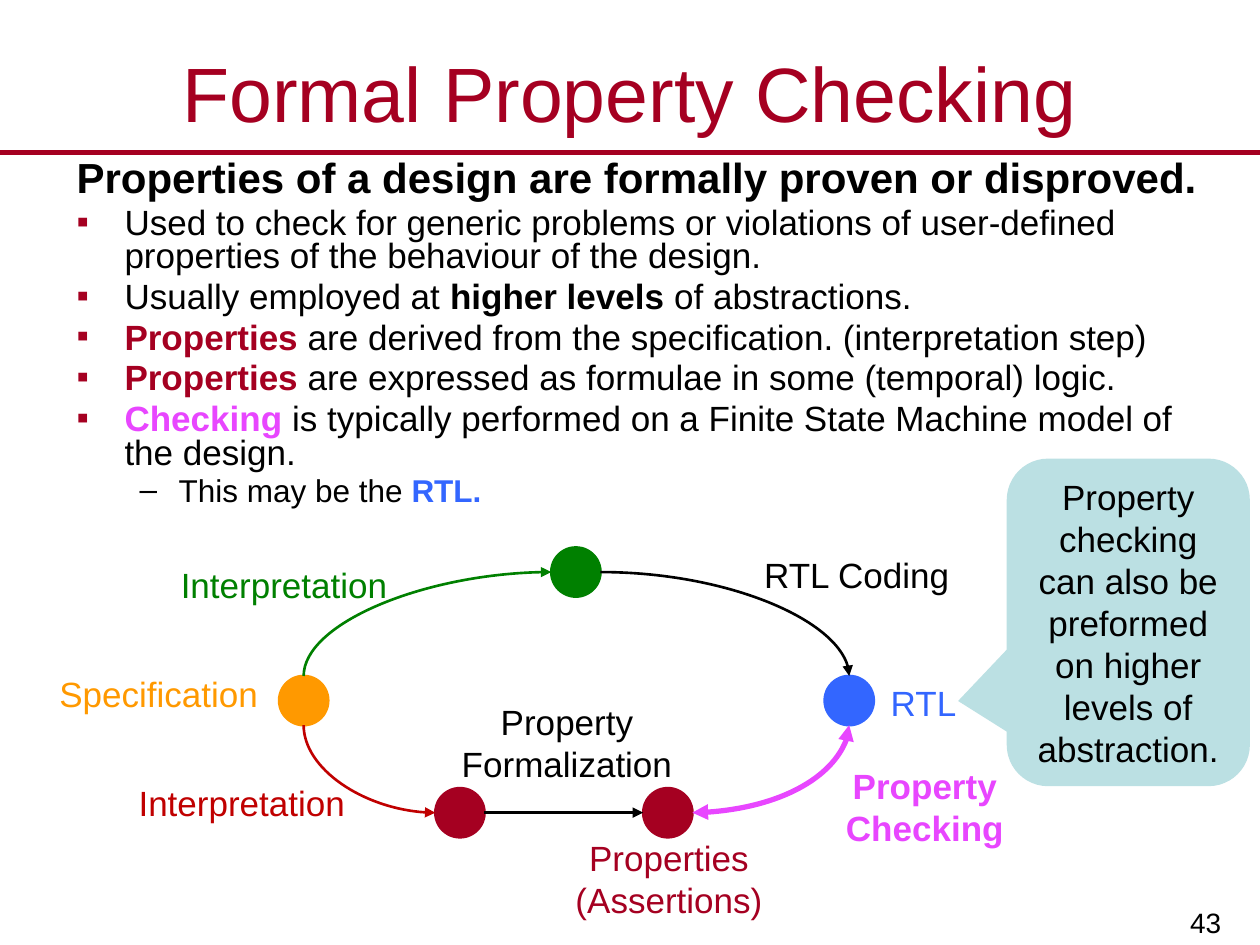
from lxml.etree import SubElement
from pptx import Presentation
from pptx.dml.color import RGBColor
from pptx.enum.shapes import MSO_CONNECTOR as LINK, MSO_SHAPE as SHAPE
from pptx.enum.text import MSO_ANCHOR as ANCHOR, MSO_AUTO_SIZE as FIT, PP_ALIGN as ALIGN
from pptx.oxml.ns import qn
from pptx.util import Inches, Pt

BLACK, CRIMSON, RED, GREEN = "000000", "A50021", "C00000", "008000"
ORANGE, BLUE, MAGENTA, PALE = "FF9900", "3366FF", "E846FF", "BBE0E3"

TITLE = "Formal Property Checking"
HEADLINE = "Properties of a design are formally proven or disproved."
POINTS = [
    [("Used to check for generic problems or violations of user-defined "
      "properties of the behaviour of the design.", BLACK, False)],
    [("Usually employed at ", BLACK, False), ("higher levels ", BLACK, True),
     ("of abstractions.", BLACK, False)],
    [("Properties ", CRIMSON, True),
     ("are derived from the specification. (interpretation step)", BLACK, False)],
    [("Properties ", CRIMSON, True),
     ("are expressed as formulae in some (temporal) logic.", BLACK, False)],
    [("Checking ", MAGENTA, True),
     ("is typically performed on a Finite State Machine model of the design.", BLACK, False)],
]
SUBPOINT = [("This may be the ", BLACK, False), ("RTL.", BLUE, True)]
CALLOUT = "Property checking can also be preformed on higher levels of abstraction."

DIAMETER = 0.39
NODES = {
    "specification": (2.41, 5.56, ORANGE),
    "model": (4.57, 4.54, GREEN),
    "rtl": (6.74, 5.56, BLUE),
    "formula": (3.65, 6.45, CRIMSON),
    "assertion": (5.3, 6.45, CRIMSON),
}
FLOWS = [
    ("specification", "top", "model", "left", GREEN, 1.5, False),
    ("model", "right", "rtl", "top", BLACK, 1.5, False),
    ("specification", "bottom", "formula", "left", RED, 1.5, False),
    ("formula", "right", "assertion", "left", BLACK, 1.5, False),
    ("assertion", "right", "rtl", "bottom", MAGENTA, 3, True),
]
SIDES = {"top": (0, -1), "left": (-1, 0), "bottom": (0, 1), "right": (1, 0)}
LABELS = [
    ("RTL", 6.93, 5.36, 0.8, 0.44, BLUE, False),
    ("Specification", 0.24, 5.29, 2.04, 0.44, ORANGE, False),
    ("Interpretation", 0.72, 6.15, 2.4, 0.44, RED, False),
    ("Properties (Assertions)", 4.38, 6.59, 1.86, 0.77, CRIMSON, False),
    ("RTL Coding", 5.83, 4.34, 1.94, 0.44, BLACK, False),
    ("Interpretation", 1.19, 4.42, 2.13, 0.44, GREEN, False),
    ("Property Formalization", 3.53, 5.51, 1.94, 0.77, BLACK, False),
    ("Property Checking", 6.38, 6.02, 1.92, 0.77, MAGENTA, True),
]


def rgb(value):
    return RGBColor.from_string(value)


def write(paragraph, text, size=20, color=BLACK, bold=False, align=None):
    if align is not None:
        paragraph.alignment = align
    run = paragraph.add_run()
    run.text = text
    run.font.name = "Arial"
    run.font.size = Pt(size)
    run.font.bold = bold
    run.font.color.rgb = rgb(color)


def add_box(left, top, width, height, anchor=ANCHOR.TOP):
    box = slide.shapes.add_textbox(Inches(left), Inches(top), Inches(width), Inches(height))
    box.text_frame.word_wrap = True
    box.text_frame.vertical_anchor = anchor
    return box.text_frame


def add_item(frame, runs, size, margin, hang, bullet, bullet_color):
    paragraph = frame.add_paragraph()
    paragraph.line_spacing = 0.8
    paragraph.space_before = Pt(size * 0.2)
    props = paragraph._p.get_or_add_pPr()
    props.set("marL", str(Inches(margin)))
    props.set("indent", str(-Inches(hang)))
    tint = SubElement(props, qn("a:buClr"))
    SubElement(tint, qn("a:srgbClr"), val=bullet_color)
    SubElement(props, qn("a:buFont"), typeface="Arial")
    SubElement(props, qn("a:buChar"), char=bullet)
    for text, color, bold in runs:
        write(paragraph, text, size=size, color=color, bold=bold)


def add_shape(kind, left, top, width, height, color):
    shape = slide.shapes.add_shape(kind, Inches(left), Inches(top), Inches(width), Inches(height))
    shape.shadow.inherit = False
    shape.fill.solid()
    shape.fill.fore_color.rgb = rgb(color)
    return shape


def add_link(kind, x1, y1, x2, y2, color, weight, ends=()):
    link = slide.shapes.add_connector(kind, Inches(x1), Inches(y1), Inches(x2), Inches(y2))
    link.line.color.rgb = rgb(color)
    link.line.width = Pt(weight)
    for end in ends:
        SubElement(link.line._get_or_add_ln(), qn(f"a:{end}"), type="triangle")
    SubElement(link._element.spPr, qn("a:effectLst"))
    return link


def edge(node, side):
    x, y, _ = NODES[node]
    dx, dy = SIDES[side]
    return x + dx * DIAMETER / 2, y + dy * DIAMETER / 2


def add_flow(source, exit_side, target, entry_side, color, weight, two_way):
    (x1, y1), (x2, y2) = edge(source, exit_side), edge(target, entry_side)
    upright = exit_side in ("top", "bottom")
    if upright:
        mid_x, mid_y = (x1 + x2) / 2, (y1 + y2) / 2
        x1, y1, x2, y2 = (mid_x + mid_y - y1, mid_y + x1 - mid_x,
                          mid_x + mid_y - y2, mid_y + x2 - mid_x)
    ends = ("headEnd", "tailEnd") if two_way else ("tailEnd",)
    link = add_link(LINK.CURVE, x1, y1, x2, y2, color, weight, ends)
    props = link._element.spPr
    if upright:
        props.find(qn("a:xfrm")).set("rot", str(270 * 60000))
    if upright or entry_side in ("top", "bottom"):
        props.find(qn("a:prstGeom")).set("prst", "curvedConnector2")


deck = Presentation()
deck.slide_width, deck.slide_height = Inches(10), Inches(7.5)
slide = deck.slides.add_slide(deck.slide_layouts[6])

add_link(LINK.STRAIGHT, 0, 1.21, 10, 1.21, CRIMSON, 3)
number = add_box(7.8, 6.93, 1.99, 0.57, ANCHOR.BOTTOM)
write(number.paragraphs[0], "43", size=16, align=ALIGN.RIGHT)
title = add_box(0, 0.3, 10, 0.86, ANCHOR.MIDDLE)
write(title.paragraphs[0], TITLE, size=44, color=CRIMSON, align=ALIGN.CENTER)

body = add_box(0.51, 1.23, 9.22, 3)
body.paragraphs[0].line_spacing = 0.8
write(body.paragraphs[0], HEADLINE, size=24, bold=True)
for point in POINTS:
    add_item(body, point, 20, 0.38, 0.38, "▪", CRIMSON)
add_item(body, SUBPOINT, 18, 0.81, 0.31, "–", BLACK)
body.paragraphs[-1].level = 1

for x, y, color in NODES.values():
    node = add_shape(SHAPE.OVAL, x - DIAMETER / 2, y - DIAMETER / 2, DIAMETER, DIAMETER, color)
    node.line.color.rgb = rgb(color)
    node.line.width = Pt(1.5)
for flow in FLOWS:
    add_flow(*flow)
for text, left, top, width, height, color, bold in LABELS:
    label = add_box(left, top, width, height)
    label.auto_size = FIT.SHAPE_TO_FIT_TEXT
    write(label.paragraphs[0], text, color=color, bold=bold, align=ALIGN.CENTER)

callout = add_shape(SHAPE.ROUNDED_RECTANGULAR_CALLOUT, 7.99, 3.64, 1.93, 2.6, PALE)
callout.line.fill.background()
for index, value in enumerate((-0.7, 0.24, 0.17)):
    callout.adjustments[index] = value
callout.text_frame.word_wrap = True
callout.text_frame.vertical_anchor = ANCHOR.MIDDLE
write(callout.text_frame.paragraphs[0], CALLOUT, align=ALIGN.CENTER)

deck.save("out.pptx")
